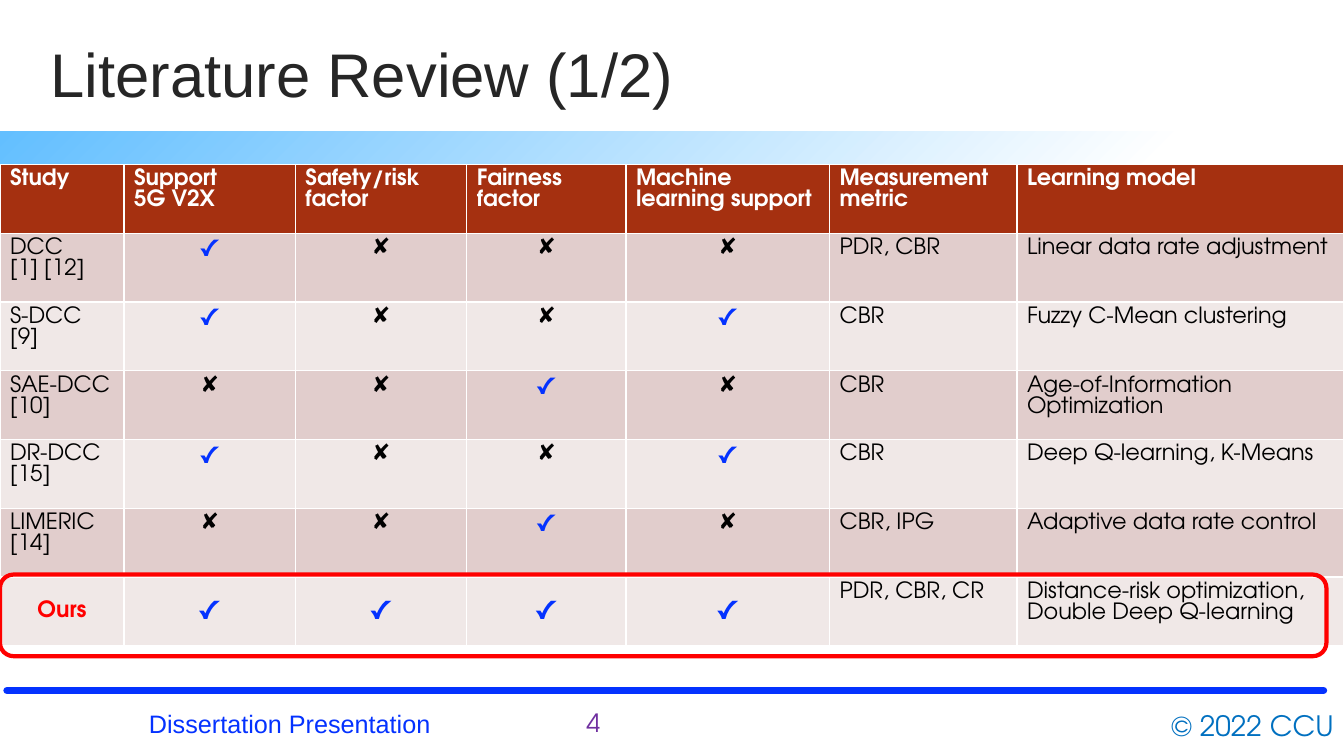
import pptx
import pptx.dml.color
import pptx.enum.shapes
import pptx.enum.text
import pptx.oxml
import pptx.oxml.ns
import pptx.util

Pt = pptx.util.Pt
ALIGN = pptx.enum.text.PP_ALIGN
ANCHOR = pptx.enum.text.MSO_ANCHOR
SHAPE = pptx.enum.shapes.MSO_SHAPE

GEYER = "TeX Gyre Adventor"
BLUE, RED, WHITE, BLACK = "0432FF", "FF0000", "FFFFFF", "000000"
HEADER_FILL, ODD_FILL, EVEN_FILL = "A53010", "E1CDCC", "F0E8E7"
NAMESPACE = 'xmlns:a="http://schemas.openxmlformats.org/drawingml/2006/main"'

COLUMN_WIDTHS = [88.6, 122.4, 122.4, 113.8, 145.4, 133.9, 233.3]
ROW_HEIGHT = 49.15
HEADINGS = ["Study", "Support\n5G V2X", "Safety/risk\nfactor", "Fairness factor",
            "Machine learning support", "Measurement\nmetric", "Learning model"]
STUDIES = [
    ("DCC\n[1] [12]", "✓✘✘✘", "PDR, CBR", "Linear data rate adjustment"),
    ("S-DCC\n[9]", "✓✘✘✓", "CBR", "Fuzzy C-Mean clustering"),
    ("SAE-DCC\n[10]", "✘✘✓✘", "CBR", "Age-of-Information Optimization"),
    ("DR-DCC\n[15]", "✓✘✘✓", "CBR", "Deep Q-learning, K-Means"),
    ("LIMERIC\n[14]", "✘✘✓✘", "CBR, IPG", "Adaptive data rate control"),
    ("Ours", "✓✓✓✓", "PDR, CBR, CR",
     "Distance-risk optimization, Double Deep Q-learning"),
]

BODY = {"name": GEYER, "size": Pt(16), "bold": False, "color": BLACK}
HEADING = {**BODY, "bold": True, "color": WHITE}
OURS = {**BODY, "bold": True, "color": RED}
TICK = {**BODY, "size": Pt(18), "bold": True, "color": BLUE}
OURS_TICK = {**TICK, "size": Pt(20)}


def color(value):
    return pptx.dml.color.RGBColor.from_string(value)


def set_text(frame, text, font, align=ALIGN.LEFT):
    frame.text = text
    for para in frame.paragraphs:
        para.alignment = align
        for span in para.runs:
            for name, value in font.items():
                if name == "color":
                    span.font.color.rgb = color(value)
                else:
                    setattr(span.font, name, value)


def place(shape, left, top, width, height):
    bounds = {"left": left, "top": top, "width": width, "height": height}
    for name, value in bounds.items():
        setattr(shape, name, Pt(value))


def add_title(page, text):
    title = page.shapes.title
    place(title, 28.8, 16.6, 702, 100.8)
    frame = title.text_frame
    frame.auto_size = pptx.enum.text.MSO_AUTO_SIZE.NONE
    frame.vertical_anchor = ANCHOR.TOP
    frame.margin_top = Pt(9)
    set_text(frame, text, {"name": "Arial", "size": Pt(44), "color": "262626"})


def add_label(page, bounds, text, font, align, anchor):
    box = page.shapes.add_textbox(*map(Pt, bounds))
    box.text_frame.word_wrap = True
    box.text_frame.vertical_anchor = anchor
    set_text(box.text_frame, text, font, align)


def add_rule(page, left, right, y):
    rule = page.shapes.add_connector(
        pptx.enum.shapes.MSO_CONNECTOR.STRAIGHT, Pt(left), Pt(y), Pt(right), Pt(y))
    rule.line.color.rgb = color(BLUE)
    rule.line.width = Pt(5.25)
    rule.line._get_or_add_ln().set("cap", "rnd")
    rule._element.spPr.append(pptx.oxml.parse_xml(f"<a:effectLst {NAMESPACE}/>"))


def add_banner(page):
    banner = page.shapes.add_shape(SHAPE.PENTAGON, Pt(0), Pt(93.6), Pt(865.4), Pt(28.1))
    banner.shadow.inherit = False
    banner.line.fill.background()
    banner.fill.gradient()
    for stop, position, value in zip(banner.fill.gradient_stops, (0, 0.95), ("63BFFF", WHITE)):
        stop.position = position
        stop.color.rgb = color(value)
    linear = banner._element.spPr.find(".//" + pptx.oxml.ns.qn("a:lin"))
    linear.getparent().replace(linear, pptx.oxml.parse_xml(
        f'<a:path {NAMESPACE} path="circle"><a:fillToRect r="100000" b="100000"/></a:path>'))


def fill_cell(cell, text, font, fill, align=ALIGN.LEFT, anchor=ANCHOR.TOP):
    cell.fill.solid()
    cell.fill.fore_color.rgb = color(fill)
    cell.vertical_anchor = anchor
    set_text(cell.text_frame, text, font, align)


def add_study_table(page):
    row_count = len(STUDIES) + 1
    table = page.shapes.add_table(
        row_count, len(HEADINGS), Pt(0), Pt(117.4),
        Pt(sum(COLUMN_WIDTHS)), Pt(ROW_HEIGHT * row_count)).table
    for column, width in zip(table.columns, COLUMN_WIDTHS):
        column.width = Pt(width)
    for row in table.rows:
        row.height = Pt(ROW_HEIGHT)
    for cell, heading in zip(table.rows[0].cells, HEADINGS):
        fill_cell(cell, heading, HEADING, HEADER_FILL)
    for number, (study, marks, metric, model) in enumerate(STUDIES, 1):
        fill = ODD_FILL if number % 2 else EVEN_FILL
        ours = study == "Ours"
        anchor = ANCHOR.MIDDLE if ours else ANCHOR.TOP
        cells = list(table.rows[number].cells)
        fill_cell(cells[0], study, OURS if ours else BODY, fill,
                  ALIGN.CENTER if ours else ALIGN.LEFT, anchor)
        for cell, mark in zip(cells[1:5], marks):
            tick = OURS_TICK if ours else TICK
            fill_cell(cell, mark, tick if mark == "✓" else BODY, fill, ALIGN.CENTER, anchor)
        for cell, text in zip(cells[5:], (metric, model)):
            fill_cell(cell, text, BODY, fill)


def add_highlight(page):
    frame = page.shapes.add_shape(
        SHAPE.ROUNDED_RECTANGLE, Pt(0), Pt(410.4), Pt(947.5), Pt(58.3))
    frame.shadow.inherit = False
    frame.fill.background()
    frame.line.color.rgb = color(RED)
    frame.line.width = Pt(3)


def main():
    deck = pptx.Presentation()
    deck.slide_width, deck.slide_height = Pt(960), Pt(540)
    page = deck.slides.add_slide(deck.slide_layouts[5])
    add_rule(page, 5, 945.4, 493.2)
    add_label(page, (545.8, 501.8, 414, 32.4), " © 2022 CCU",
              {"name": GEYER, "size": Pt(20), "color": "0070C0"}, ALIGN.RIGHT, ANCHOR.MIDDLE)
    add_label(page, (5, 504, 309.6, 25.2), "Dissertation Presentation",
              {"name": "Arial", "size": Pt(18), "color": BLUE}, ALIGN.RIGHT, ANCHOR.MIDDLE)
    add_banner(page)
    add_title(page, "Literature Review (1/2)")
    add_label(page, (411.8, 501.8, 61.2, 28.8), "4",
              {"name": GEYER, "size": Pt(18), "color": "7030A0"}, ALIGN.LEFT, ANCHOR.TOP)
    add_study_table(page)
    add_highlight(page)
    deck.save("out.pptx")


if __name__ == "__main__":
    main()
